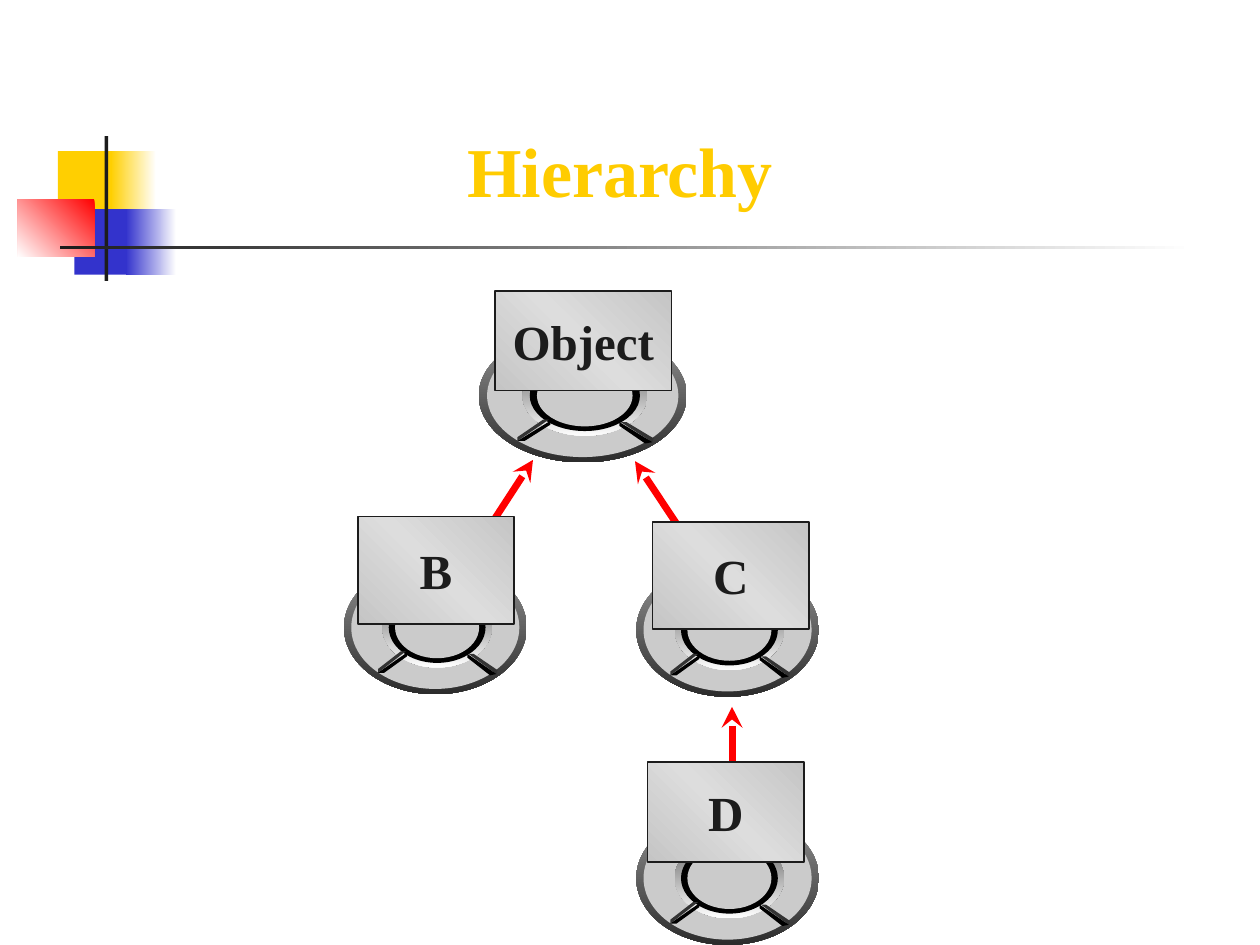
"""Build the class hierarchy slide: Object above B and C, with D below C."""
from copy import deepcopy

from lxml.etree import SubElement
from pptx import Presentation
from pptx.dml.color import RGBColor
from pptx.enum.shapes import MSO_CONNECTOR as Connector, MSO_SHAPE as Shape
from pptx.enum.text import MSO_ANCHOR as Anchor, MSO_AUTO_SIZE as AutoSize, PP_ALIGN as Align
from pptx.oxml.ns import qn
from pptx.util import Inches, Pt

COLORS = {
    "white": "FFFFFF", "black": "000000", "ink": "1C1C1C", "red": "FF0000",
    "yellow": "FFCF01", "blue": "3333CC", "title": "FFCC00", "arrow": "FF0000",
    "plate": "CBCBCB", "rim_top": "969696", "rim_bottom": "2C2C2C",
    "groove_top": "5F5F5F", "groove_bottom": "FEFEFE", "slot_lit": "333333",
    "card_edge": "C5C5C5", "card_middle": "DDDDDD",
}
FONT = "Times New Roman"
TITLE = "Hierarchy"

ORNAMENT = [
    ((0.46, 1.2, 0.48, 0.52), ["yellow"], 0),
    ((0.88, 1.2, 0.36, 0.52), ["white", "yellow"], 180),
    ((0.59, 1.66, 0.46, 0.52), ["blue"], 0),
    ((1, 1.66, 0.4, 0.52), ["white", "blue"], 180),
    ((0.14, 1.58, 0.61, 0.46), ["red", "white"], 135),
    ((0.83, 1.08, 0.03, 1.15), ["ink"], 0),
    ((0.48, 1.95, 9, 0.03), ["white", "ink"], 180),
]
NODES = [
    {"label": "C", "disc": (5.05, 4.47, 1.45), "card": (5.18, 4.14, 1.24, 0.85)},
    {"label": "D", "disc": (5.05, 6.44, 1.45), "card": (5.14, 6.05, 1.24, 0.79)},
    {"label": "B", "disc": (2.73, 4.45, 1.45), "card": (2.84, 4.1, 1.24, 0.85)},
    {"label": "Object", "disc": (3.8, 2.61, 1.65), "card": (3.93, 2.31, 1.4, 0.79)},
]
CHILD_TO_PARENT = [
    ((5.81, 6.58), (5.81, 5.61)),
    ((5.81, 4.82), (5.04, 3.66)),
    ((3.45, 4.85), (4.23, 3.65)),
]
DISC_HEIGHT = 1.06
RINGS = [
    (1, 0, ["rim_top", "rim_bottom"]),
    (0.92, 0, ["plate"]),
    (0.6, 0.01, ["groove_top", "groove_bottom"]),
    (0.53, 0.01, ["black"]),
    (0.46, 0.01, ["plate"]),
]
SLOT_GRID = (145, 106)
SLOTS = [
    ("slot_lit", [(121, 90), (99, 74), (103, 74), (122, 87)]),
    ("black", [(121, 90), (98, 74), (98, 77), (116, 91)]),
    ("slot_lit", [(123, 16), (101, 32), (100, 29), (118, 16)]),
    ("black", [(123, 16), (101, 32), (105, 32), (123, 19)]),
    ("black", [(21, 16), (44, 33), (39, 33), (21, 20)]),
    ("slot_lit", [(22, 16), (44, 33), (44, 29), (26, 16)]),
    ("slot_lit", [(27, 89), (49, 72), (45, 72), (27, 86)]),
    ("black", [(27, 89), (50, 73), (50, 76), (32, 89)]),
]


def rgb(name):
    return RGBColor.from_string(COLORS[name])


def paint(part, colors, angle=0, outline=None):
    part.shadow.inherit = False
    if outline:
        part.line.color.rgb = rgb(outline)
        part.line.width = Pt(1)
    else:
        part.line.fill.background()
    if len(colors) == 1:
        part.fill.solid()
        part.fill.fore_color.rgb = rgb(colors[0])
        return
    part.fill.gradient()
    part.fill.gradient_angle = (360 - angle) % 360
    stop_list = part._element.spPr.find(".//" + qn("a:gsLst"))
    for _ in colors[2:]:
        stop_list.append(deepcopy(stop_list[0]))
    for index, (stop, color) in enumerate(zip(part.fill.gradient_stops, colors)):
        stop.position = index / (len(colors) - 1)
        stop.color.rgb = rgb(color)


def add_part(slide, kind, box, colors, **look):
    part = slide.shapes.add_shape(kind, *map(Inches, box))
    paint(part, colors, **look)
    return part


def write(part, text, *, size, color, align, anchor, grow=False):
    frame = part.text_frame
    frame.text = text
    frame.word_wrap = False
    frame.auto_size = AutoSize.SHAPE_TO_FIT_TEXT if grow else AutoSize.NONE
    frame.vertical_anchor = anchor
    frame.margin_left = frame.margin_right = Inches(0.1)
    frame.margin_top = frame.margin_bottom = Inches(0.05)
    paragraph = frame.paragraphs[0]
    paragraph.alignment = align
    font = paragraph.runs[0].font
    font.name, font.size, font.bold = FONT, Pt(size), True
    font.color.rgb = rgb(color)


def add_disc(slide, left, top, width):
    for share, shift, colors in RINGS:
        ring_width, ring_height = width * share, DISC_HEIGHT * share
        box = (left + (width - ring_width) / 2 + shift * width,
               top + (DISC_HEIGHT - ring_height) / 2, ring_width, ring_height)
        add_part(slide, Shape.OVAL, box, colors, angle=90)
    columns, rows = SLOT_GRID
    for color, corners in SLOTS:
        points = [(Inches(left + x / columns * width), Inches(top + y / rows * DISC_HEIGHT))
                  for x, y in corners]
        outline = slide.shapes.build_freeform(*points[0])
        outline.add_line_segments(points[1:], close=True)
        paint(outline.convert_to_shape(), [color])


def add_arrow(slide, child, parent):
    arrow = slide.shapes.add_connector(Connector.STRAIGHT, *map(Inches, child + parent))
    arrow.line.color.rgb = rgb("arrow")
    arrow.line.width = Pt(4)
    SubElement(arrow.line._get_or_add_ln(), qn("a:tailEnd"), type="stealth")
    SubElement(arrow._element.spPr, qn("a:effectLst"))


def main():
    deck = Presentation()
    deck.slide_width, deck.slide_height = Inches(10), Inches(7.5)
    slide = deck.slides.add_slide(deck.slide_layouts[5])

    title = slide.shapes.title
    title.left, title.top, title.width, title.height = map(Inches, (3.61, 0.96, 2.63, 0.77))
    write(title, TITLE, size=40, color="title", align=Align.LEFT, anchor=Anchor.TOP, grow=True)

    for box, colors, angle in ORNAMENT:
        add_part(slide, Shape.RECTANGLE, box, colors, angle=angle)
    for node in NODES:
        add_disc(slide, *node["disc"])
    for child, parent in CHILD_TO_PARENT:
        add_arrow(slide, child, parent)
    for node in NODES:
        card = add_part(slide, Shape.RECTANGLE, node["card"],
                        ["card_edge", "card_middle", "card_edge"], angle=135, outline="ink")
        write(card, node["label"], size=28, color="ink", align=Align.CENTER, anchor=Anchor.MIDDLE)

    deck.save("out.pptx")


if __name__ == "__main__":
    main()
